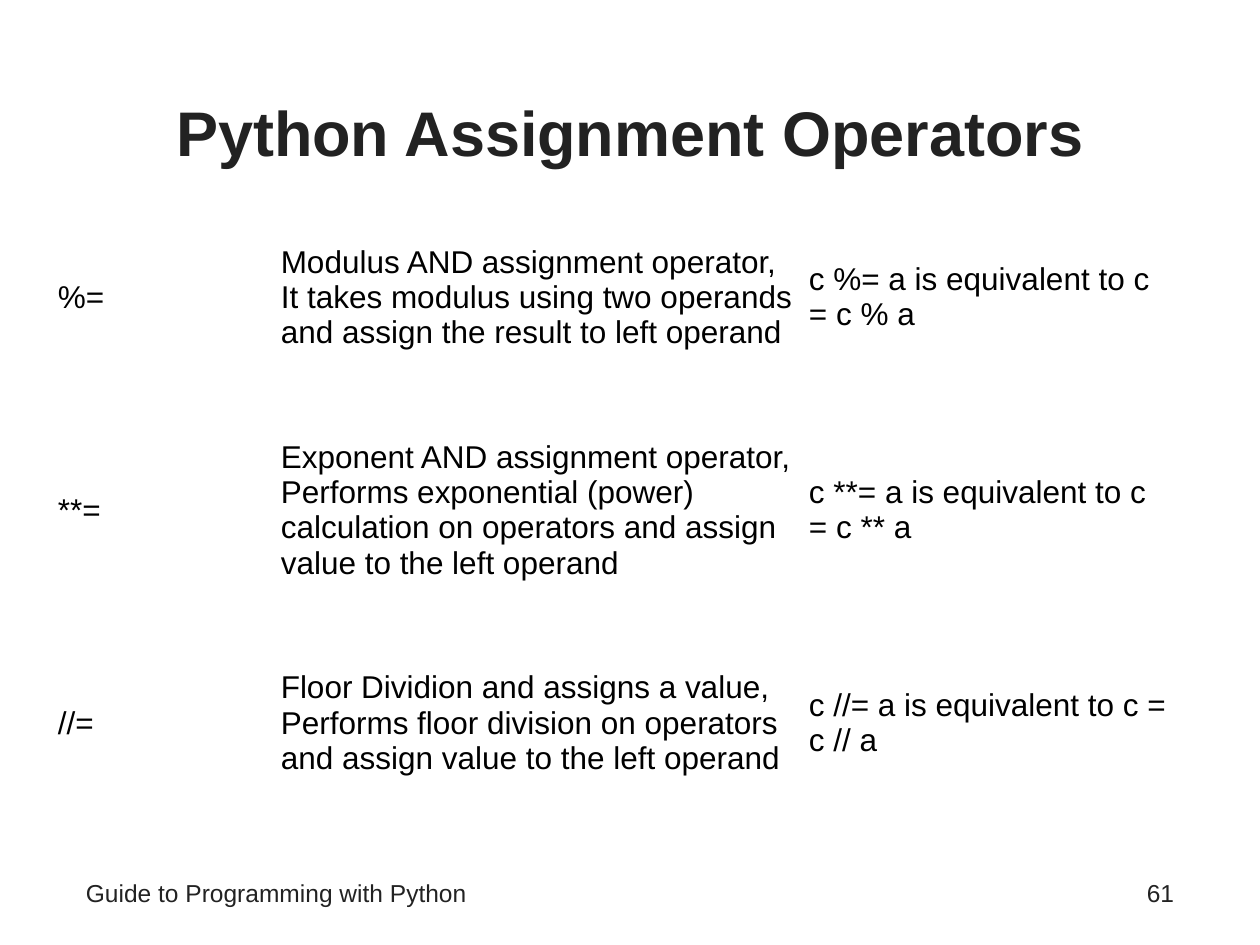
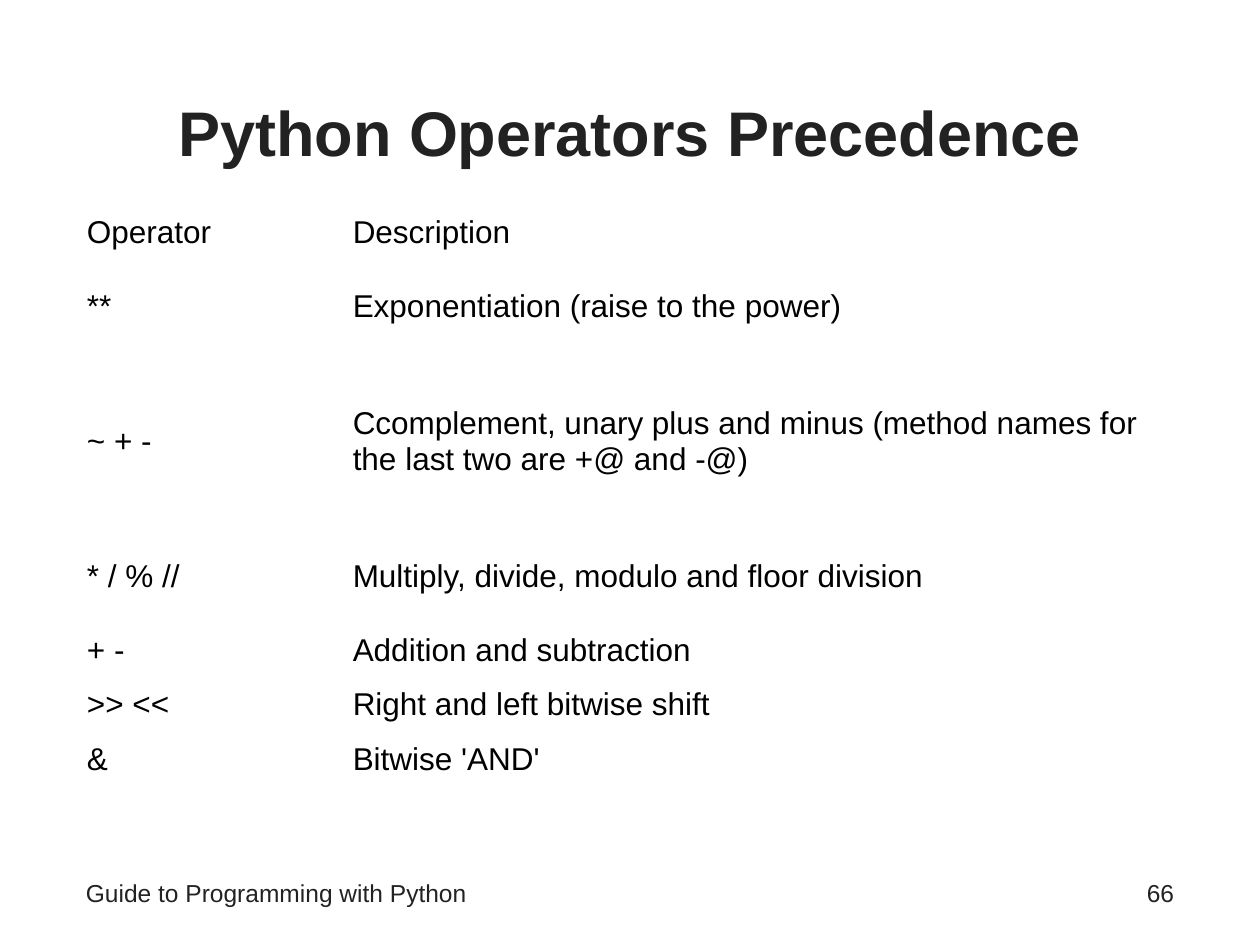
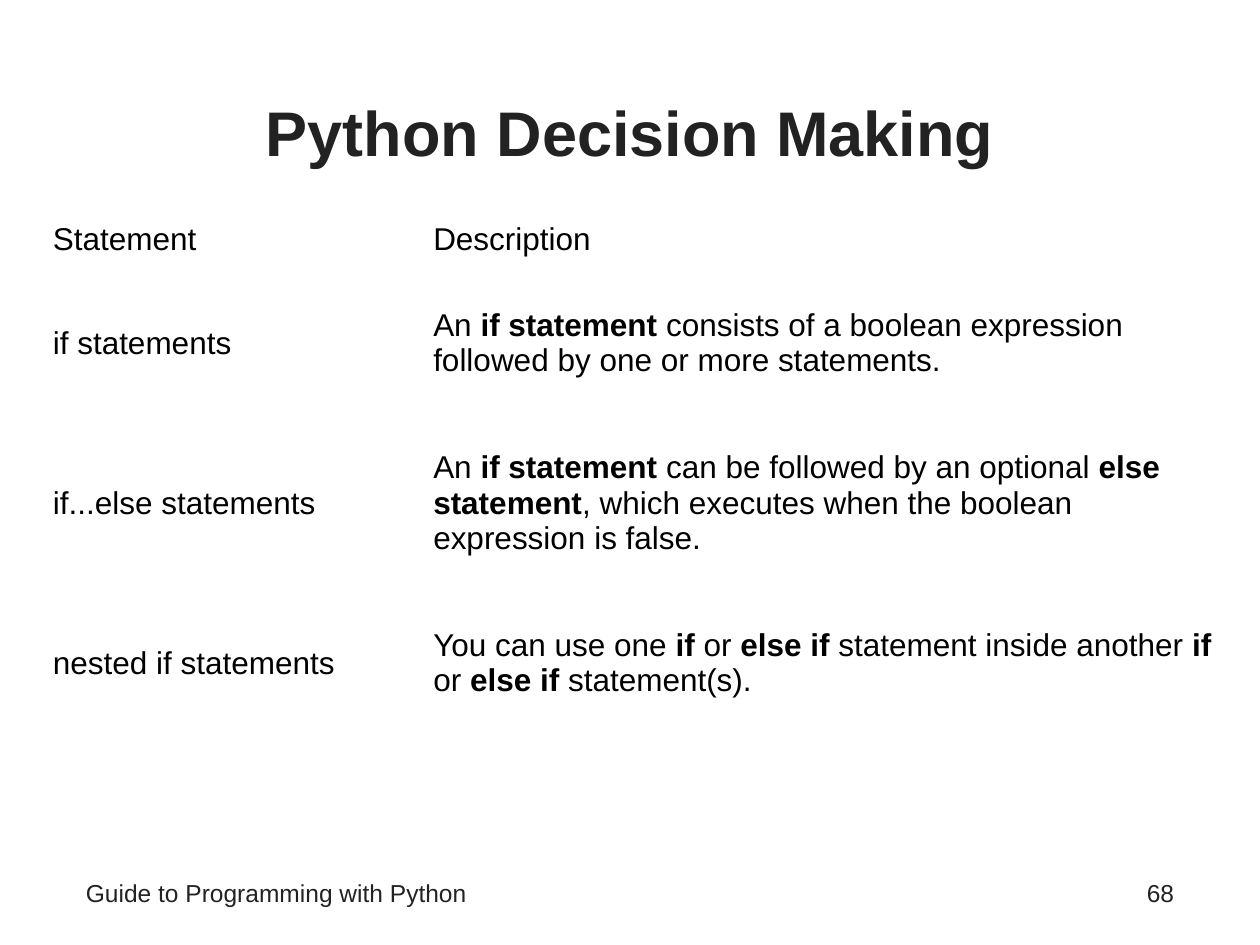
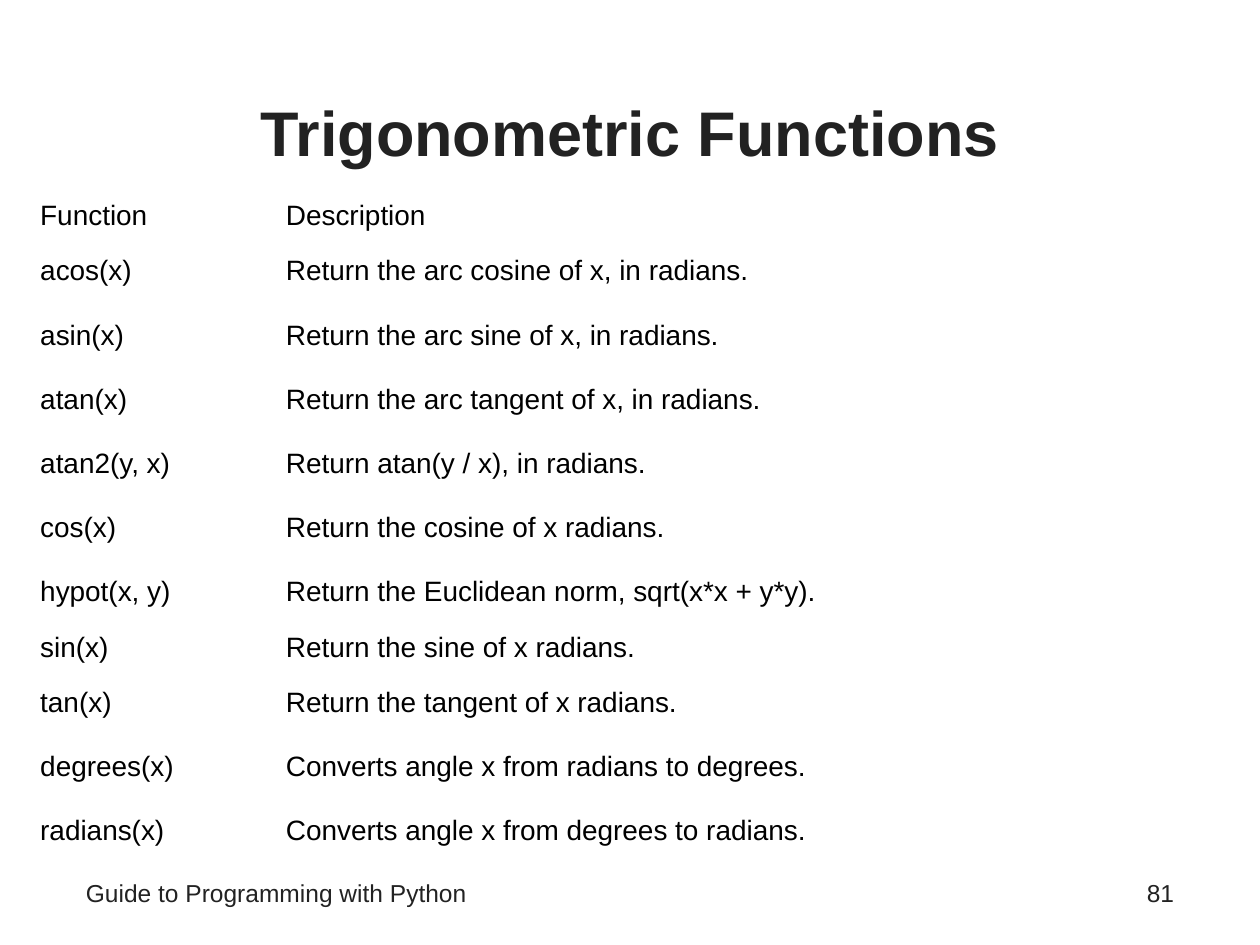
import pptx
import pptx.dml.color
import pptx.enum.text
import pptx.util

Pt = pptx.util.Pt
Align = pptx.enum.text.PP_ALIGN
Anchor = pptx.enum.text.MSO_ANCHOR

COLOURS = {"heading": "222222", "body": "000000", "paper": "FFFFFF"}
FONT = "Arial"
TITLE_LAYOUT = 5
TITLE_BOX = (42, 30, 636, 90)
FOOTER_BOX = (42, 498, 462, 30)
NUMBER_BOX = (516, 498, 162, 30)
FOOTER = "Guide to Programming with Python"
BOLD_MARK = "|"

ASSIGNMENT = [
    ("%=", "Modulus AND assignment operator, It takes modulus using two operands "
     "and assign the result to left operand", "c %= a is equivalent to c = c % a"),
    ("**=", "Exponent AND assignment operator, Performs exponential (power) calculation "
     "on operators and assign value to the left operand", "c **= a is equivalent to c = c ** a"),
    ("//=", "Floor Dividion and assigns a value, Performs floor division on operators "
     "and assign value to the left operand", "c //= a is equivalent to c = c // a"),
]
PRECEDENCE = [
    ("Operator", "Description"),
    ("**", "Exponentiation (raise to the power)"),
    ("~ + -", "Ccomplement, unary plus and minus (method names for the last two are +@ and -@)"),
    ("* / % //", "Multiply, divide, modulo and floor division"),
    ("+ -", "Addition and subtraction"),
    (">> <<", "Right and left bitwise shift"),
    ("&", "Bitwise 'AND'"),
]
DECISIONS = [
    ("Statement", "Description"),
    ("if statements", "An |if statement| consists of a boolean expression "
     "followed by one or more statements."),
    ("if...else statements", "An |if statement| can be followed by an optional "
     "|else statement|, which executes when the boolean expression is false."),
    ("nested if statements", "You can use one |if| or |else if| statement inside another "
     "|if| or |else if| statement(s)."),
]
TRIGONOMETRY = [
    ("Function", "Description"),
    ("acos(x)", "Return the arc cosine of x, in radians."),
    ("asin(x)", "Return the arc sine of x, in radians."),
    ("atan(x)", "Return the arc tangent of x, in radians."),
    ("atan2(y, x)", "Return atan(y / x), in radians."),
    ("cos(x)", "Return the cosine of x radians."),
    ("hypot(x, y)", "Return the Euclidean norm, sqrt(x*x + y*y)."),
    ("sin(x)", "Return the sine of x radians."),
    ("tan(x)", "Return the tangent of x radians."),
    ("degrees(x)", "Converts angle x from radians to degrees."),
    ("radians(x)", "Converts angle x from degrees to radians."),
]

PAGES = [
    dict(title="Python Assignment Operators", number=61, rows=ASSIGNMENT,
         corner=(28.8, 119.5), widths=[127.4, 301.8, 214.5],
         heights=[100.8, 142.6, 100.8], inset=4.3),
    dict(title="Python Operators Precedence", number=66, rows=PRECEDENCE,
         corner=(42.5, 117.4), widths=[151.9, 475.2],
         heights=[31, 54, 100, 54, 31, 31, 31]),
    dict(title="Python Decision Making", number=68, rows=DECISIONS,
         corner=(23, 115.2), widths=[217.4, 464.4],
         heights=[43.2, 75.6, 107.3, 75.6]),
    dict(title="Trigonometric Functions", number=81, rows=TRIGONOMETRY,
         corner=(18.7, 110.2), widths=[140.4, 524.9],
         heights=[23.8] + [36.7] * 6 + [23.8] + [36.7] * 3, inset=4.3, size=16),
]


def write(frame, text, size=18, colour="body", bold=False, align=Align.LEFT, anchor=Anchor.TOP):
    """Fill a text frame or cell, switching weight at each bold mark."""
    frame.vertical_anchor = anchor
    para = getattr(frame, "text_frame", frame).paragraphs[0]
    para.alignment = align
    for index, part in enumerate(text.split(BOLD_MARK)):
        span = para.add_run()
        span.text = part
        span.font.name = FONT
        span.font.size = Pt(size)
        span.font.bold = bold or index % 2 == 1
        span.font.color.rgb = pptx.dml.color.RGBColor.from_string(COLOURS[colour])


def add_title(page, box, text):
    """Move the title placeholder to its box and write the heading."""
    title = page.shapes.title
    title.left, title.top, title.width, title.height = map(Pt, box)
    title.text_frame.word_wrap = True
    title.text_frame.auto_size = pptx.enum.text.MSO_AUTO_SIZE.NONE
    write(title.text_frame, text, size=36, colour="heading", bold=True,
          align=Align.CENTER, anchor=Anchor.MIDDLE)


def add_footer(page, box, text, align=Align.LEFT):
    """Place one footer text in its box."""
    footer = page.shapes.add_textbox(*map(Pt, box))
    footer.text_frame.word_wrap = True
    write(footer.text_frame, text, size=14, colour="heading", align=align)


def add_grid(page, corner, rows, widths, heights, inset=7.2, size=18):
    """Add a plain table whose top left corner is given."""
    box = (*corner, sum(widths), sum(heights))
    table = page.shapes.add_table(len(rows), len(widths), *map(Pt, box)).table
    table.first_row = table.horz_banding = False
    for column, width in zip(table.columns, widths):
        column.width = Pt(width)
    for line, height, texts in zip(table.rows, heights, rows):
        line.height = Pt(height)
        for cell, text in zip(line.cells, texts):
            cell.fill.background()
            cell.margin_left = cell.margin_right = Pt(inset)
            cell.margin_top = cell.margin_bottom = Pt(3.6)
            write(cell, text, size=size, anchor=Anchor.MIDDLE)


def add_page(deck, title, number, **grid):
    """Add a slide with its title, footers and table."""
    page = deck.slides.add_slide(deck.slide_layouts[TITLE_LAYOUT])
    add_title(page, TITLE_BOX, title)
    add_footer(page, FOOTER_BOX, FOOTER)
    add_footer(page, NUMBER_BOX, str(number), align=Align.RIGHT)
    add_grid(page, **grid)


def main():
    """Build and save the deck."""
    deck = pptx.Presentation()
    deck.slide_width, deck.slide_height = Pt(720), Pt(540)
    paper = deck.slide_master.background.fill
    paper.solid()
    paper.fore_color.rgb = pptx.dml.color.RGBColor.from_string(COLOURS["paper"])
    for content in PAGES:
        add_page(deck, **content)
    deck.save("out.pptx")


if __name__ == "__main__":
    main()
